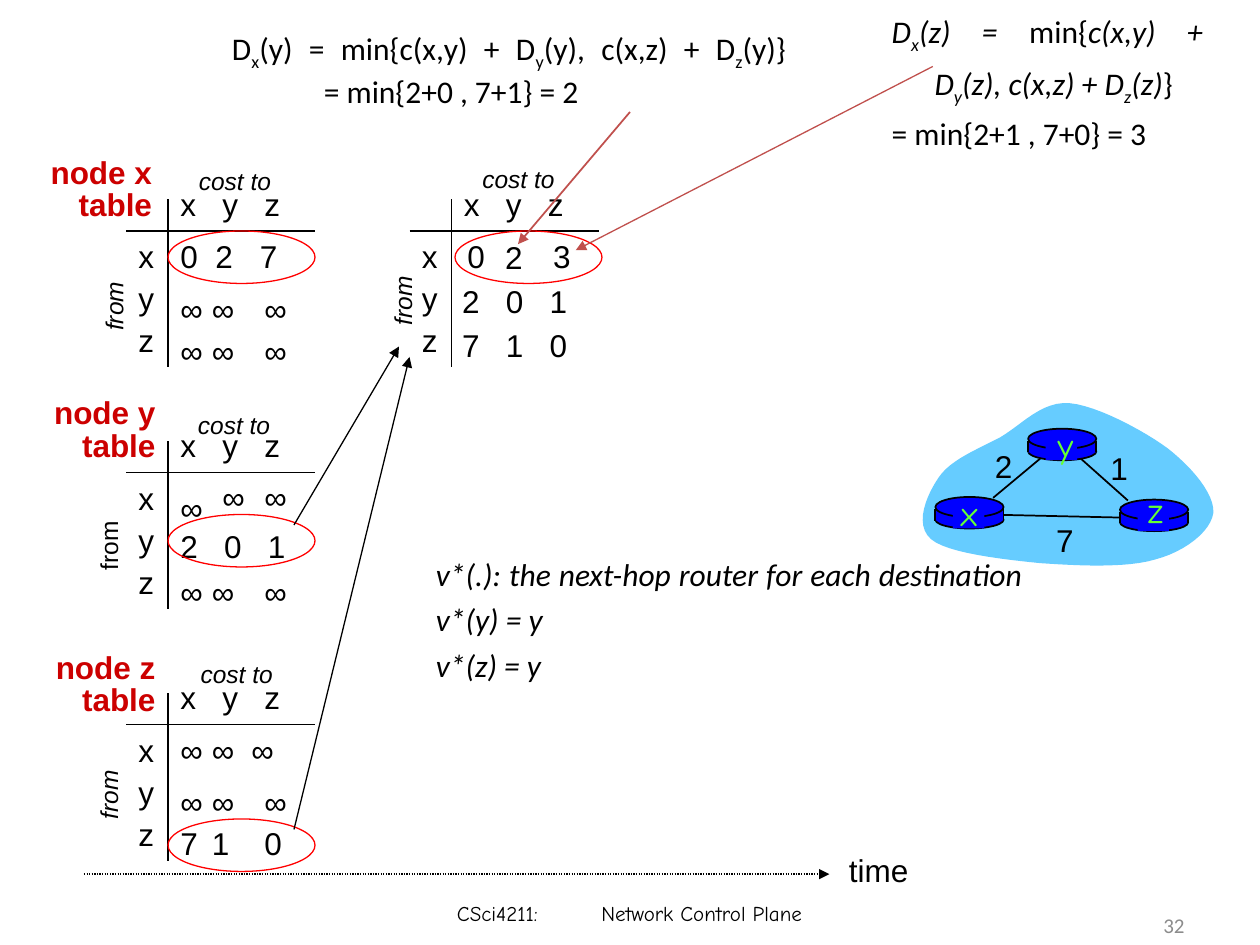
"""Build a slide of distance-vector routing tables for a three-node network."""
from dataclasses import dataclass

from lxml import etree
from pptx import Presentation
from pptx.dml.color import RGBColor
from pptx.enum import dml, shapes, text
from pptx.oxml import ns
from pptx.util import Pt


@dataclass(frozen=True)
class Theme:
    ink: str = "000000"
    title: str = "CC0000"
    ring: str = "FF0000"
    arrow: str = "C0504D"
    cloud: str = "66CCFF"
    router: str = "0000FF"
    name: str = "66FF33"
    number: str = "8C8C8C"
    sans: str = "Arial"
    body: str = "Calibri"
    comic: str = "Comic Neue"
    large: int = 20
    normal: int = 18
    small: int = 14
    tiny: int = 12


theme = Theme()
LEFT, CENTER, RIGHT, JUSTIFY = (
    text.PP_ALIGN.LEFT, text.PP_ALIGN.CENTER, text.PP_ALIGN.RIGHT, text.PP_ALIGN.JUSTIFY)

deck = Presentation()
deck.slide_width, deck.slide_height = Pt(720), Pt(540)
page = deck.slides.add_slide(deck.slide_layouts[6])


def label(canvas, content, left, top, width=27, height=29, size=theme.normal, font=theme.sans,
          color=theme.ink, bold=False, italic=False, align=LEFT, spacing=None, tabs=(),
          hanging=0, middle=False):
    """Add a text box; _ encloses subscripts and ~ encloses upright words."""
    box = canvas.add_textbox(Pt(left), Pt(top), Pt(width), Pt(height))
    frame = box.text_frame
    frame.word_wrap = True
    frame.vertical_anchor = text.MSO_ANCHOR.MIDDLE if middle else text.MSO_ANCHOR.TOP
    for number, words in enumerate(content if isinstance(content, list) else [content]):
        para = frame.add_paragraph() if number else frame.paragraphs[0]
        para.alignment, para.line_spacing = align, spacing
        properties = para._p.get_or_add_pPr()
        if hanging and "\n" in words:
            properties.set("marL", str(Pt(hanging)))
            properties.set("indent", str(-Pt(hanging)))
        if tabs:
            stops = etree.SubElement(properties, ns.qn("a:tabLst"))
            for stop in tabs:
                etree.SubElement(stops, ns.qn("a:tab"), pos=str(Pt(stop)), algn="l")
        para.font.name, para.font.size = font, Pt(size)
        para.font.bold, para.font.italic = bold, italic
        para.font.color.rgb = RGBColor.from_string(color)
        for row, line_text in enumerate(words.split("\n")):
            if row:
                para.add_line_break()
            for level, piece in enumerate(line_text.split("_")):
                for turn, part in enumerate(piece.split("~")):
                    if part:
                        span = para.add_run()
                        span.text = part
                        if level % 2:
                            span.font._element.set("baseline", "-25000")
                        if turn % 2:
                            span.font.italic = False
    return box


def line(canvas, start, end, color=theme.ink, weight=0.75, arrow=False, dotted=False):
    """Add a straight connector without a shadow."""
    connector = canvas.add_connector(
        shapes.MSO_CONNECTOR.STRAIGHT, *(Pt(value) for value in (*start, *end)))
    connector.line.color.rgb = RGBColor.from_string(color)
    connector.line.width = Pt(weight)
    if dotted:
        connector.line.dash_style = dml.MSO_LINE.ROUND_DOT
    outline = connector.element.spPr
    if arrow:
        etree.SubElement(outline.find(ns.qn("a:ln")), ns.qn("a:tailEnd"), type="triangle")
    etree.SubElement(outline, ns.qn("a:effectLst"))
    return connector


slide = page.shapes
unknown = [("∞", left, top, ()) for top in (48, 72) for left in (24, 42, 72)]
tables = [
    (72, 114, "node x", (-58, -27), (34.5, -22.5), (-28, 49), True, (24, 18),
     [("0\t2\t7", 24, 18, (20, 45.5))] + unknown),
    (234, 114, None, None, (34.5, -24), (-25, 46), True, (26, 18),
     [("0", 26, 18, ()), ("2", 47.5, 18.5, ()), ("3", 75, 18, ()),
      ("2\t0\t1", 23, 43.7, (25, 50)), ("7\t1\t0", 23, 69, (25, 50))]),
    (72, 252, "node y", (-56, -27.4), (34, -21), (-31, 48), False, (24, 42),
     [("∞", 48, 17.5, ()), ("∞", 72, 17.5, ()),
      (["∞", "2\t0\t1"], 24, 24, (25, 50))] + unknown[3:]),
    (72, 396, "node z", (-56, -26), (35.5, -23), (-31, 46), True, (24, 72),
     [("∞\t∞\t∞", 24, 18, (18, 40.5))] + unknown[:3]
     + [("7", 24, 71.5, ()), ("1", 42, 71.5, ()), ("0", 72, 71.5, ())]),
]
for left, top, title, title_at, cost_at, from_at, slanted, ring_at, entries in tables:
    line(slide, (left + 24, top), (left + 24, top + 96))
    line(slide, (left, top + 18), (left + 108, top + 18))
    label(slide, "x\ty\tz", left + 24, top - 12, 78, tabs=(24, 48))
    for row, node in enumerate("xyz"):
        label(slide, node, left, top + 18 + 24 * row)
    for entry, dx, dy, tabs in entries:
        label(slide, entry, left + dx, top + dy, 78 if tabs else 27, tabs=tabs)
    label(slide, "cost to", left + cost_at[0], top + cost_at[1], 60, 24, theme.small, italic=True)
    side = label(slide, "from", left + from_at[0] - 3, top + from_at[1], 48, 24, theme.small,
                 italic=slanted, align=CENTER)
    side.rotation = 270
    if title:
        label(slide, [title, "table"], left + title_at[0], top + title_at[1], 80, 44,
              color=theme.title, bold=True, align=RIGHT, spacing=0.85)
    ring = slide.add_shape(shapes.MSO_SHAPE.OVAL, Pt(left + ring_at[0]), Pt(top + ring_at[1]),
                           Pt(84), Pt(30))
    ring.shadow.inherit = False
    ring.fill.background()
    ring.line.color.rgb, ring.line.width = RGBColor.from_string(theme.ring), Pt(0.75)

line(slide, (168, 300), (228, 198), arrow=True)
line(slide, (168, 474), (234, 204), arrow=True)
line(slide, (48, 499.5), (474, 499.5), arrow=True, dotted=True)
label(slide, "time", 478, 483, 54)

network = slide.add_group_shape().shapes
bends = [
    ((7.54, 3.65), (7.77, 3.56), (7.94, 3.47)), ((8.11, 3.37), (8.27, 3.18), (8.49, 3.2)),
    ((8.71, 3.22), (9.08, 3.42), (9.27, 3.56)), ((9.46, 3.71), (9.64, 3.92), (9.63, 4.07)),
    ((9.61, 4.22), (9.4, 4.38), (9.17, 4.44)), ((8.94, 4.51), (8.55, 4.49), (8.26, 4.47)),
    ((7.96, 4.44), (7.52, 4.39), (7.39, 4.28)), ((7.25, 4.16), (7.36, 3.92), (7.45, 3.79)),
]
anchor = (7.45, 3.79)
outline = [anchor]
for first, second, last in bends:
    for step in range(1, 13):
        t = step / 12
        outline.append(tuple(
            (1 - t) ** 3 * a + 3 * (1 - t) ** 2 * t * b + 3 * (1 - t) * t ** 2 * c + t ** 3 * d
            for a, b, c, d in zip(anchor, first, second, last)))
    anchor = last
points = [(Pt(72 * x), Pt(72 * y)) for x, y in outline]
builder = network.build_freeform(*points[0])
builder.add_line_segments(points[1:], close=True)
cloud = builder.convert_to_shape()
cloud.shadow.inherit = False
cloud.fill.solid()
cloud.fill.fore_color.rgb = RGBColor.from_string(theme.cloud)
cloud.line.fill.background()

line(network, (567.5, 284.5), (594.5, 262), weight=1)
line(network, (617.5, 262), (644.5, 286), weight=1)
bands = {}
for node, left, top, dx, dy in [("x", 534.5, 284, 6, -6.5), ("z", 640, 285.5, 7, -10),
                                ("y", 587.5, 245, 8, -6.5)]:
    for kind, x, y, width, height in [("base", 0, 8, 39, 10), ("band", 0, 7, 39, 6.5),
                                      ("lid", 0, 0, 39, 11.5), ("plate", 10, 1.5, 18, 16.5)]:
        round_part = kind in ("base", "lid")
        part = network.add_shape(
            shapes.MSO_SHAPE.OVAL if round_part else shapes.MSO_SHAPE.RECTANGLE,
            Pt(left + x), Pt(top + y), Pt(width), Pt(height))
        part.shadow.inherit = False
        part.fill.solid()
        part.fill.fore_color.rgb = RGBColor.from_string(theme.router)
        if round_part:
            part.line.color.rgb, part.line.width = RGBColor.from_string(theme.ink), Pt(1)
        else:
            part.line.fill.background()
        if kind == "band":
            bands[node] = part
            for edge in (left, left + 39):
                line(network, (edge, top + 7), (edge, top + 13.5), weight=1)
    label(network, node, left + dx, top + dy, 26.5, 32, theme.large, theme.comic, theme.name,
          align=CENTER)
link = line(network, (573.5, 294), (640, 295.5), weight=1)
link.begin_connect(bands["x"], 3)
link.end_connect(bands["z"], 1)
for cost, left, top in [("1", 626, 253), ("2", 560, 252), ("7", 595, 294)]:
    label(network, cost, left, top, align=CENTER)

label(slide, "D_x_(y) = min{c(x,y) + D_y_(y), c(x,z) + D_z_(y)} \n= min{2+0 , 7+1} = 2",
      125.5, 14.5, 340, 50.5, font=theme.body, align=JUSTIFY, hanging=52.5, middle=True)
label(slide, ["D_x_(z) = ~min{~c(x,y) + \nD_y_(z), c(x,z) + D_z_(z)~}", "~= min{2+1 , 7+0} = 3"],
      502.5, 2, 210, 85, font=theme.body, italic=True, align=JUSTIFY, spacing=1.2,
      hanging=24.5, middle=True)
label(slide, ["v*(.): the next-hop router for each destination \nv*(y) = y", "v*(z) = y"],
      242, 309, 354, 85.5, font=theme.body, italic=True, align=JUSTIFY, spacing=1.2, middle=True)
line(slide, (360, 64), (296, 139.5), theme.arrow, 1, arrow=True)
line(slide, (533, 38), (329, 143), theme.arrow, arrow=True)

label(slide, "CSci4211:\tNetwork Control Plane", 254, 507.5, 228, 29, theme.tiny, theme.comic,
      tabs=(82.5,), middle=True)
label(slide, "32", 516, 514, 168, 29, theme.tiny, theme.body, theme.number, align=RIGHT,
      middle=True)

deck.save("out.pptx")
